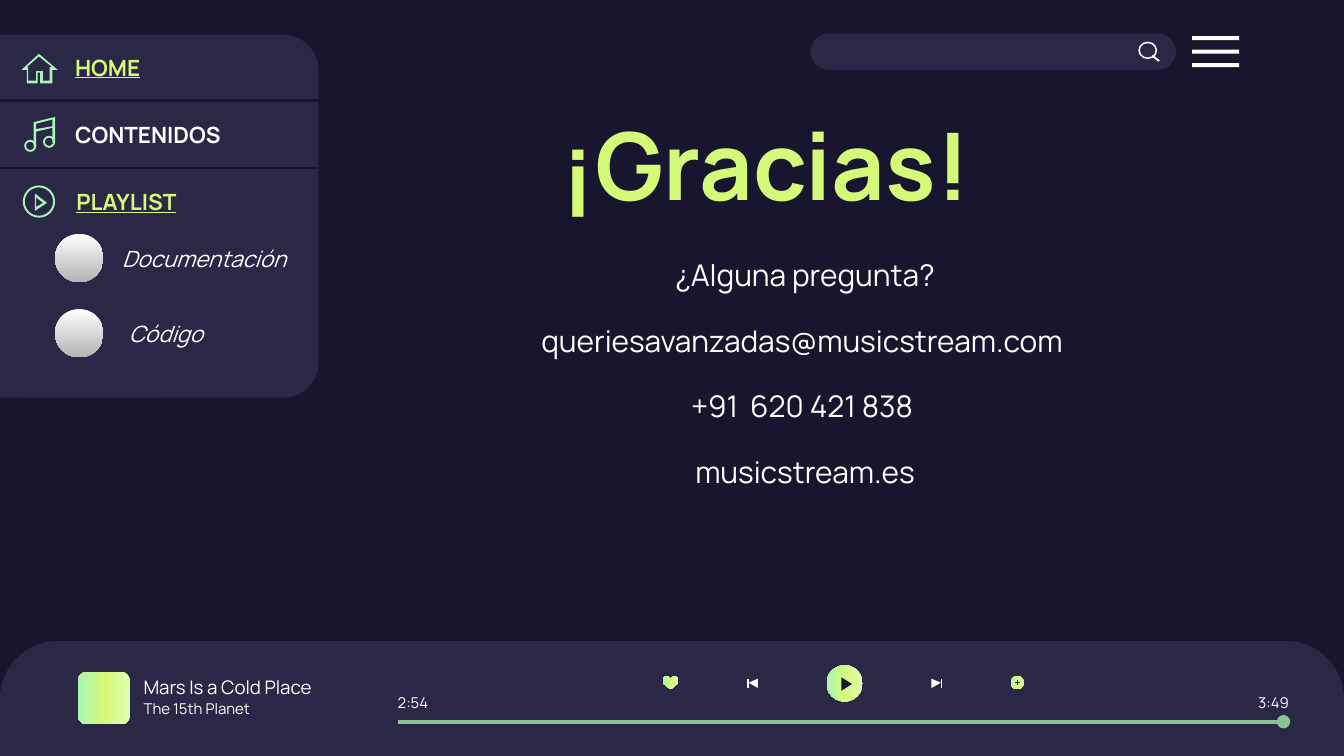
from lxml import etree
from pptx import Presentation
from pptx import util as u
from pptx.dml.color import RGBColor
from pptx.enum import shapes, text
from pptx.oxml import ns

Inches = u.Inches
SHAPE = shapes.MSO_SHAPE
ALIGN = text.PP_ALIGN
COLORS = {"night": "17162E", "panel": "2A2747", "white": "FFFFFF",
          "lime": "D5F979", "mint": "A9F5B4", "progress": "88C591"}
GRADIENTS = {"glow": (180, {0: "DDFFB2", 50: "D5F979", 100: "A9F5B4"}),
             "silver": (270, {0: "FFFFFF", 100: "B3B3B3"})}


def paint(sp, fill):
    """Give a shape a solid or gradient fill, with no line and no shadow."""
    sp.shadow.inherit = False
    sp.line.fill.background()
    if fill in COLORS:
        sp.fill.solid()
        sp.fill.fore_color.rgb = RGBColor.from_string(COLORS[fill])
        return
    angle, stops = GRADIENTS[fill]
    sp.fill.gradient()
    sp.fill.gradient_angle = angle
    gs_list = sp._element.spPr.find(".//" + ns.qn("a:gsLst"))
    for old in list(gs_list):
        gs_list.remove(old)
    for pos, color in stops.items():
        gs = etree.SubElement(gs_list, ns.qn("a:gs"), pos=str(pos * 1000))
        etree.SubElement(gs, ns.qn("a:srgbClr"), val=color)


def add_preset(s, kind, x, y, w, h, fill, *adjust):
    """Add a preset shape."""
    sp = s.shapes.add_shape(kind, Inches(x), Inches(y), Inches(w), Inches(h))
    for i, value in enumerate(adjust):
        sp.adjustments[i] = value
    paint(sp, fill)


def add_outline(s, x, y, fill, *contours):
    """Add a freeform made of closed contours, measured from x, y."""
    paths = [[(Inches(x + px), Inches(y + py)) for px, py in c] for c in contours]
    builder = s.shapes.build_freeform(*paths[0][0], scale=1.0)
    for i, path in enumerate(paths):
        if i:
            builder.move_to(*path[0])
        builder.add_line_segments(path[1:], close=True)
    paint(builder.convert_to_shape(), fill)


def add_line(s, x1, y1, x2, y2, color, width):
    """Add a straight line."""
    sp = s.shapes.add_connector(shapes.MSO_CONNECTOR.STRAIGHT,
                                Inches(x1), Inches(y1), Inches(x2), Inches(y2))
    sp.line.color.rgb = RGBColor.from_string(COLORS[color])
    sp.line.width = u.Pt(width)
    etree.SubElement(sp._element.spPr, ns.qn("a:effectLst"))


def add_text(s, x, y, w, h, lines, size, color="white", align=ALIGN.LEFT,
             anchor=text.MSO_ANCHOR.MIDDLE, side=0.1, gap=0, **style):
    """Add a text box with one paragraph per line."""
    tf = s.shapes.add_textbox(Inches(x), Inches(y), Inches(w), Inches(h)).text_frame
    frame = {"word_wrap": True, "vertical_anchor": anchor,
             "margin_left": Inches(side), "margin_right": Inches(side),
             "margin_top": Inches(0.1), "margin_bottom": Inches(0.1)}
    for key, value in frame.items():
        setattr(tf, key, value)
    font = {"name": "Manrope", "size": u.Pt(size), **style}
    for i, line in enumerate(lines):
        p = tf.add_paragraph() if i else tf.paragraphs[0]
        p.alignment = align
        p.space_before = u.Pt(gap if i else 0)
        r = p.add_run()
        r.text = line
        for key, value in font.items():
            setattr(r.font, key, value)
        r.font.color.rgb = RGBColor.from_string(COLORS[color])


def search_bar(s, x, y, w, h):
    """Draw the search field, its lens and the menu button."""
    add_preset(s, SHAPE.ROUNDED_RECTANGLE, x, y, w, h, "panel", 0.5)
    for i in range(3):
        add_preset(s, SHAPE.RECTANGLE, x + w + 0.12, y + 0.02 + i * 0.1, 0.35, 0.03, "white")
    add_preset(s, SHAPE.DONUT, x + 2.44, y + 0.06, 0.14, 0.13, "white", 0.09)
    add_outline(s, x + 2.54, y + 0.16, "white",
                [(0.01, 0), (0, 0.01), (0.05, 0.05), (0.06, 0.04)])


def home_icon(s, x, y):
    """Draw the house."""
    add_outline(s, x, y, "mint",
                [(0.13, 0), (0, 0.12), (0.04, 0.12), (0.04, 0.22), (0.12, 0.22),
                 (0.12, 0.14), (0.14, 0.14), (0.14, 0.22), (0.23, 0.22),
                 (0.23, 0.12), (0.27, 0.12)],
                [(0.13, 0.02), (0.23, 0.1), (0.21, 0.1), (0.21, 0.2), (0.16, 0.2),
                 (0.16, 0.13), (0.11, 0.13), (0.11, 0.2), (0.05, 0.2),
                 (0.05, 0.1), (0.04, 0.1)])


def music_icon(s, x, y):
    """Draw the pair of joined notes."""
    add_outline(s, x, y, "mint",
                [(0.23, 0), (0.07, 0.04), (0.07, 0.22), (0.09, 0.22), (0.09, 0.11),
                 (0.21, 0.08), (0.21, 0.19), (0.23, 0.19)],
                [(0.21, 0.02), (0.21, 0.07), (0.09, 0.09), (0.09, 0.05)])
    for dx, dy in ((0, 0.17), (0.14, 0.14)):
        add_preset(s, SHAPE.DONUT, x + dx, y + dy, 0.09, 0.09, "mint", 0.16)


def playlist_icon(s, x, y):
    """Draw the ringed play sign."""
    add_preset(s, SHAPE.DONUT, x, y, 0.24, 0.24, "mint", 0.06)
    add_outline(s, x + 0.09, y + 0.06, "mint", [(0, 0), (0, 0.13), (0.09, 0.07)],
                [(0.01, 0.03), (0.06, 0.07), (0.01, 0.1)])


def sidebar(s, x, y, w, h):
    """Draw the navigation panel with its entries."""
    add_preset(s, SHAPE.RECTANGLE, x, y, w / 2, h, "panel")
    add_preset(s, SHAPE.ROUNDED_RECTANGLE, x, y, w, h, "panel", 0.11)
    entries = [("HOME", "lime", True, 0.46, 2.08, home_icon, 0.16, 0.14),
               ("CONTENIDOS", "white", False, 0.46, 2.08, music_icon, 0.18, 0.61),
               ("PLAYLIST", "lime", True, 0.47, 1.3, playlist_icon, 0.17, 1.12)]
    for i, (label, color, linked, left, width, icon, dx, dy) in enumerate(entries):
        add_text(s, x + left, y + 0.06 + i * 0.5, width, 0.36, [label], 12, color,
                 bold=True, underline=linked)
        icon(s, x + dx, y + dy)
        if i:
            add_line(s, x + w, y + i * 0.5 - 0.01, x, y + i * 0.5 - 0.01, "night", 1.5)
    pages = [("Documentación", 0.81, 1.36, 1.6, 0.61), ("Código", 0.86, 1.96, 1.21, 0.52)]
    for i, (label, left, top, width, height) in enumerate(pages):
        add_preset(s, SHAPE.OVAL, x + 0.41, y + 1.48 + i * 0.56, 0.36, 0.36, "silver")
        add_text(s, x + left, y + top, width, height, [label], 12, italic=True)


def skip_icon(s, x, y, way):
    """Draw a skip sign pointing right (way 1) or left (way -1) from its bar."""
    add_outline(s, x, y, "white", [(0, 0), (0, 0.07), (way * 0.01, 0.07), (way * 0.01, 0)])
    add_outline(s, x, y, "white", [(-way * 0.07, 0), (-way * 0.07, 0.07), (0, 0.03)])


def player(s, x, y, w, h):
    """Draw the player bar with track, controls and progress."""
    add_preset(s, SHAPE.ROUND_2_SAME_RECTANGLE, x, y, w, h, "panel", 0.5, 0)
    add_preset(s, SHAPE.ROUNDED_RECTANGLE, x + 0.58, y + 0.23, 0.39, 0.39, "glow", 0.17)
    add_text(s, x + 0.97, y + 0.26, 1.91, 0.17, ["Mars Is a Cold Place"], 10)
    add_text(s, x + 0.97, y + 0.42, 1.15, 0.17, ["The 15th Planet"], 8)
    start, end, rail = x + 2.96, x + 9.59, y + 0.6
    add_text(s, start, y + 0.37, 0.27, 0.17, ["2:54"], 8, side=0)
    add_text(s, end - 0.27, y + 0.37, 0.27, 0.17, ["3:49"], 8, align=ALIGN.RIGHT, side=0)
    mid = y + 0.31
    add_outline(s, x + 4.93, mid - 0.05, "glow",
                [(0.06, 0.02), (0.05, 0.01), (0.03, 0), (0.01, 0.01), (0, 0.04),
                 (0.01, 0.06), (0.06, 0.1), (0.11, 0.06), (0.12, 0.04),
                 (0.11, 0.01), (0.09, 0), (0.07, 0.01)])
    skip_icon(s, x + 5.57, mid - 0.03, -1)
    add_preset(s, SHAPE.OVAL, x + 6.15, mid - 0.13, 0.27, 0.27, "glow")
    add_outline(s, x + 6.26, mid - 0.04, "night", [(0, 0), (0, 0.1), (0.08, 0.05)])
    skip_icon(s, x + 7, mid - 0.03, 1)
    plus = x + 7.57
    add_preset(s, SHAPE.OVAL, plus - 0.05, mid - 0.05, 0.1, 0.1, "glow")
    for dx, dy in ((0, 0.02), (0.02, 0)):
        add_line(s, plus - dx, mid - dy, plus + dx, mid + dy, "panel", 0.75)
    add_line(s, start, rail, end, rail, "white", 2.25)
    add_preset(s, SHAPE.OVAL, end - 0.09, rail - 0.05, 0.1, 0.1, "progress")
    add_line(s, start, rail, end - 0.09, rail, "progress", 2.25)


def closing(s, x, y, w, h):
    """Write the thanks and the contact lines."""
    contacts = ["¿Alguna pregunta?", "queriesavanzadas@musicstream.com ",
                "+91  620 421 838 ", "musicstream.es"]
    add_text(s, x, y + 1.07, w, h - 1.07, contacts, 16, align=ALIGN.CENTER,
             anchor=text.MSO_ANCHOR.TOP, gap=16)
    add_text(s, x + 0.58, y, 3.76, 0.95, ["¡Gracias!"], 50, "lime", bold=True)


def main():
    """Build the closing slide."""
    prs = Presentation()
    prs.slide_width = Inches(10)
    prs.slide_height = prs.slide_width * 9 // 16
    s = prs.slides.add_slide(prs.slide_layouts[6])
    s.background.fill.solid()
    s.background.fill.fore_color.rgb = RGBColor.from_string(COLORS["night"])
    search_bar(s, 6.03, 0.25, 2.72, 0.27)
    sidebar(s, 0, 0.26, 2.37, 2.7)
    player(s, 0, 4.77, 10, 0.86)
    closing(s, 3.5, 0.74, 4.98, 2.63)
    prs.save("out.pptx")


if __name__ == "__main__":
    main()
